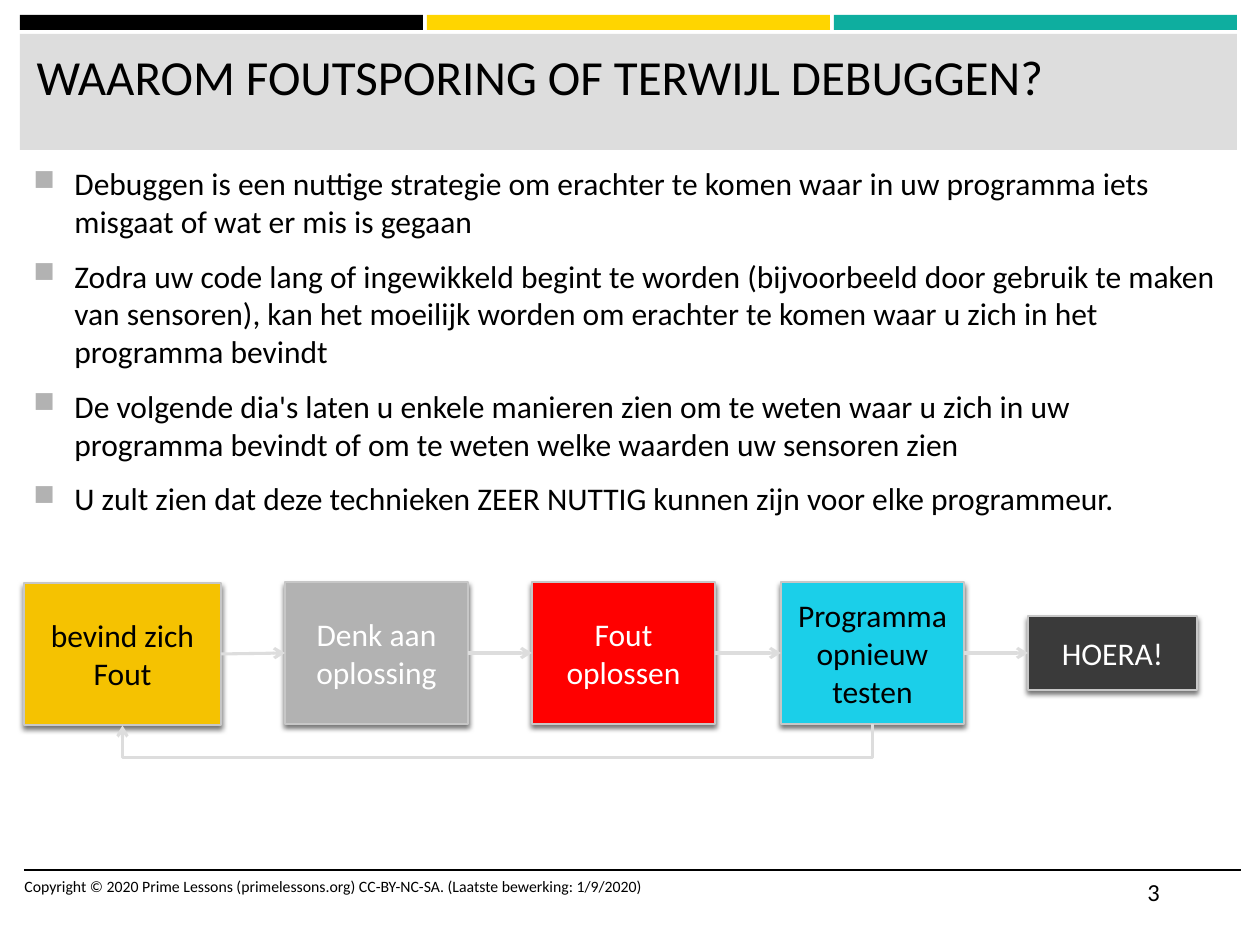
import itertools

import pptx
import pptx.dml.color
import pptx.enum.shapes
import pptx.enum.text
import pptx.oxml
import pptx.oxml.ns
import pptx.util

PX = pptx.util.Inches(1) / 126
FONT = "Calibri"
BLACK, WHITE, LIGHT = "000000", "FFFFFF", "DDDDDD"
SHAPES = pptx.enum.shapes.MSO_SHAPE
CONNECTORS = pptx.enum.shapes.MSO_CONNECTOR
ANCHOR = pptx.enum.text.MSO_ANCHOR
ALIGN = pptx.enum.text.PP_ALIGN

BULLETS = [
    "Debuggen is een nuttige strategie om erachter te komen waar in uw programma iets misgaat of wat er mis is gegaan",
    "Zodra uw code lang of ingewikkeld begint te worden (bijvoorbeeld door gebruik te maken van sensoren), "
    "kan het moeilijk worden om erachter te komen waar u zich in het programma bevindt",
    "De volgende dia's laten u enkele manieren zien om te weten waar u zich in uw programma bevindt "
    "of om te weten welke waarden uw sensoren zien",
    "U zult zien dat deze technieken ZEER NUTTIG kunnen zijn voor elke programmeur.",
]
STEPS = [
    ("bevind zich Fout", (24, 583, 197, 142), "F5C201", BLACK),
    ("Denk aan oplossing", (285, 582, 183, 142), "B2B2B2", WHITE),
    ("Fout oplossen", (532, 582, 183, 142), "FF0000", WHITE),
    ("Programma opnieuw testen", (781, 582, 183, 142), "1BCFE9", BLACK),
    ("HOERA!", (1028, 616, 169, 74), "3A3A3A", WHITE),
]


def px(*lengths):
    return [round(length * PX) for length in lengths]


def color(value):
    return pptx.dml.color.RGBColor.from_string(value)


def add_xml(parent, xml):
    """Append a DrawingML element to parent."""
    namespace = pptx.oxml.ns.nsdecls("a")
    parent.append(pptx.oxml.parse_xml(xml.replace("/>", f" {namespace}/>", 1) if xml.endswith("/>") and xml.count("<") == 1
                                      else xml.replace(">", f" {namespace}>", 1)))


def set_font(paragraph, size, value):
    paragraph.font.name = FONT
    paragraph.font.size = pptx.util.Pt(size)
    paragraph.font.color.rgb = color(value)


def add_rect(slide, area, fill, kind=SHAPES.RECTANGLE):
    rect = slide.shapes.add_shape(kind, *px(*area))
    rect.shadow.inherit = False
    rect.fill.solid()
    rect.fill.fore_color.rgb = color(fill)
    rect.line.fill.background()
    return rect


def add_text(slide, area, text, size):
    box = slide.shapes.add_textbox(*px(*area))
    box.text_frame.word_wrap = True
    box.text_frame.text = text
    set_font(box.text_frame.paragraphs[0], size, BLACK)


def add_title(slide, text):
    title = slide.shapes.title
    title.left, title.top, title.width, title.height = px(24, 40, 1206, 103)
    title.text_frame.text = text
    title.text_frame.vertical_anchor = ANCHOR.TOP
    paragraph = title.text_frame.paragraphs[0]
    paragraph.alignment = ALIGN.LEFT
    set_font(paragraph, 28, BLACK)


def add_bullets(slide, area, items):
    box = slide.shapes.add_textbox(*px(*area))
    frame = box.text_frame
    frame.word_wrap = True
    for index, item in enumerate(items):
        paragraph = frame.add_paragraph() if index else frame.paragraphs[0]
        paragraph.text = item
        paragraph.space_before = pptx.util.Pt(3.6 if index else 0)
        paragraph.space_after = pptx.util.Pt(6)
        properties = paragraph._p.get_or_add_pPr()
        indent = px(41)[0]
        properties.set("marL", str(indent))
        properties.set("indent", str(-indent))
        add_xml(properties, '<a:buClr><a:srgbClr val="B2B2B2"/></a:buClr>')
        add_xml(properties, '<a:buSzPct val="92000"/>')
        add_xml(properties, '<a:buChar char="■"/>')
        set_font(paragraph, 18, BLACK)


def add_step(slide, text, area, fill, text_color):
    step = add_rect(slide, area, fill, SHAPES.FLOWCHART_PROCESS)
    step.line.color.rgb = color("C7C7C7")
    step.line.width = pptx.util.Pt(1)
    effects = step._element.spPr.find(pptx.oxml.ns.qn("a:effectLst"))
    add_xml(effects, '<a:outerShdw blurRad="38100" dist="25400" dir="5400000" rotWithShape="0">'
                     '<a:srgbClr val="000000"><a:alpha val="55000"/></a:srgbClr></a:outerShdw>')
    frame = step.text_frame
    frame.word_wrap = True
    frame.vertical_anchor = ANCHOR.MIDDLE
    frame.text = text
    frame.paragraphs[0].alignment = ALIGN.CENTER
    set_font(frame.paragraphs[0], 18, text_color)
    return step


def add_line(slide, ends, value, width, kind=CONNECTORS.STRAIGHT):
    line = slide.shapes.add_connector(kind, *px(*ends))
    line.line.color.rgb = color(value)
    line.line.width = pptx.util.Pt(width)
    add_xml(line._element.spPr, "<a:effectLst/>")
    return line


def add_arrow(slide, start, start_side, end, end_side, kind=CONNECTORS.STRAIGHT):
    arrow = add_line(slide, (0, 0, 0, 0), LIGHT, 1.75, kind)
    arrow.begin_connect(start, start_side)
    arrow.end_connect(end, end_side)
    add_xml(arrow.line._get_or_add_ln(), '<a:tailEnd type="arrow"/>')
    return arrow


def add_return_arrow(slide, start, end):
    """Run from the bottom of start, below the steps, to the bottom of end."""
    arrow = add_arrow(slide, start, 2, end, 2, CONNECTORS.ELBOW)
    span, rise, drop = 750, 1, 33
    arrow.left, arrow.top, arrow.width, arrow.height = px(497, 350, rise, span)
    properties = arrow._element.spPr
    properties.xfrm.attrib.pop("flipH", None)
    properties.xfrm.attrib.pop("flipV", None)
    properties.xfrm.set("rot", "5400000")
    guides = properties.find(pptx.oxml.ns.qn("a:prstGeom")).get_or_add_avLst()
    add_xml(guides, f'<a:gd name="adj1" fmla="val {drop * 100000 // rise}"/>')


def main():
    deck = pptx.Presentation()
    deck.slide_width, deck.slide_height = px(1260, 945)
    slide = deck.slides.add_slide(deck.slide_layouts[5])

    # Colour bars and title band
    for index, fill in enumerate([BLACK, "FFD500", "0EAE9F"]):
        add_rect(slide, (20 + index * 407, 15, 403, 15), fill)
    band = add_rect(slide, (20, 34, 1217, 116), LIGHT)
    slide.shapes.title._element.addprevious(band._element)
    add_title(slide, "WAAROM FOUTSPORING OF TERWIJL DEBUGGEN?")

    # Explanation
    add_bullets(slide, (21, 158, 1217, 400), BULLETS)

    # Debugging cycle
    steps = [add_step(slide, *step) for step in STEPS]
    for start, end in itertools.pairwise(steps):
        add_arrow(slide, start, 3, end, 1)
    add_return_arrow(slide, steps[3], steps[0])

    # Footer
    add_line(slide, (24, 870, 1241, 870), BLACK, 1)
    add_text(slide, (12, 871, 672, 50),
             "Copyright © 2020 Prime Lessons (primelessons.org) CC-BY-NC-SA. (Laatste bewerking: 1/9/2020)", 9)
    add_text(slide, (1135, 871, 106, 50), "3", 14)

    deck.save("out.pptx")


if __name__ == "__main__":
    main()
